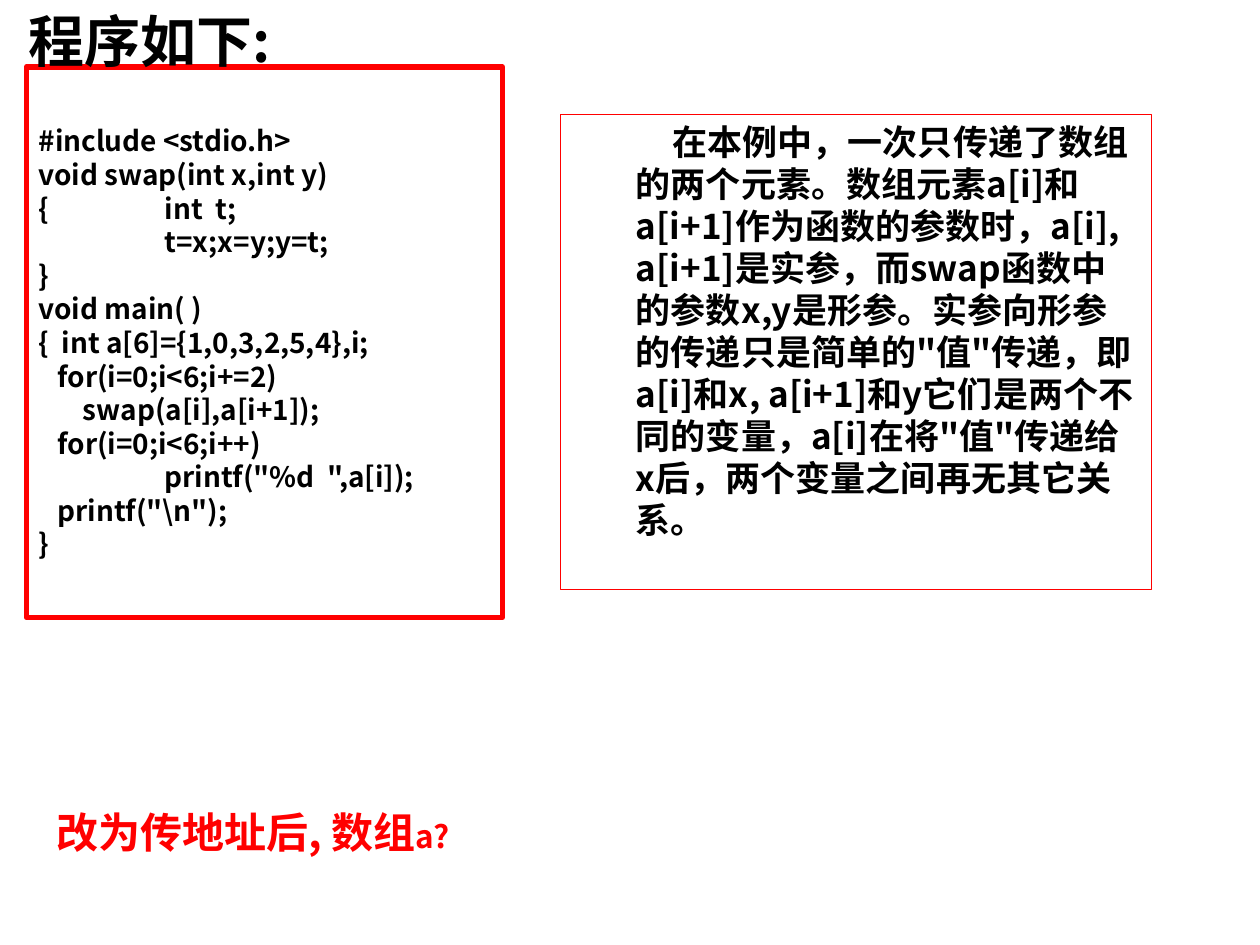
from pptx import Presentation
from pptx.dml.color import RGBColor
from pptx.enum.shapes import MSO_SHAPE
from pptx.enum.text import MSO_ANCHOR, PP_ALIGN
from pptx.oxml.ns import qn
from pptx.util import Cm, Pt
from lxml.etree import SubElement

FONT = "Noto Sans CJK SC"
BLACK, RED = "000000", "FF0000"

CODE = r"""#include <stdio.h>
void swap(int x,int y)
{	int  t;
	t=x;x=y;y=t;
}
void main( )
{  int a[6]={1,0,3,2,5,4},i;
   for(i=0;i<6;i+=2)
       swap(a[i],a[i+1]);
   for(i=0;i<6;i++)
	printf("%d  ",a[i]);
   printf("\n");
}"""

EXPLANATION = (
    "在本例中，一次只传递了数组的两个元素。数组元素a[i]和a[i+1]作为函数的参数时，"
    "a[i], a[i+1]是实参，而swap函数中的参数x,y是形参。"
    "实参向形参的传递只是简单的\"值\"传递，即a[i]和x, a[i+1]和y它们是两个不同的变量，"
    "a[i]在将\"值\"传递给x后，两个变量之间再无其它关系。"
)


def color(hex_code):
    return RGBColor.from_string(hex_code)


def format_span(span, size, hex_code):
    span.font.size = Pt(size)
    span.font.bold = True
    span.font.name = FONT
    span.font.color.rgb = color(hex_code)
    SubElement(span.font._element, qn("a:ea"), typeface=FONT)


def write(frame, text, size, hex_code=BLACK):
    frame.text = text
    for para in frame.paragraphs:
        para.alignment = PP_ALIGN.LEFT
        for span in para.runs:
            format_span(span, size, hex_code)


def add_frame(page, left, top, width, height, line_width):
    """Add an unfilled red rectangle and return its text frame."""
    box = page.shapes.add_shape(
        MSO_SHAPE.RECTANGLE, Cm(left), Cm(top), Cm(width), Cm(height))
    box.shadow.inherit = False
    box.fill.background()
    box.line.color.rgb = color(RED)
    box.line.width = Pt(line_width)
    box.text_frame.word_wrap = True
    return box.text_frame


def add_label(page, left, top, width, height, wrap=True):
    box = page.shapes.add_textbox(Cm(left), Cm(top), Cm(width), Cm(height))
    box.text_frame.word_wrap = wrap
    return box.text_frame


def set_tab_stop(para, position):
    tabs = SubElement(para._p.get_or_add_pPr(), qn("a:tabLst"))
    SubElement(tabs, qn("a:tab"), pos=str(Cm(position)), algn="l")


def add_code(page):
    frame = add_frame(page, 0.53, 1.35, 9.6, 11.1, 3)
    frame.vertical_anchor = MSO_ANCHOR.MIDDLE
    write(frame, CODE, 16)
    for para in frame.paragraphs:
        set_tab_stop(para, 2.54)


def add_explanation(page):
    frame = add_frame(page, 11.3, 2.31, 11.91, 9.58, 0.75)
    frame.vertical_anchor = MSO_ANCHOR.TOP
    write(frame, EXPLANATION, 20)
    para = frame.paragraphs[0]
    para.level = 1
    properties = para._p.get_or_add_pPr()
    properties.set("marL", str(Cm(1.27)))
    properties.set("indent", str(Cm(0.74)))


def add_question(page):
    frame = add_label(page, 0.89, 16.13, 12.4, 1.27)
    write(frame, "改为传地址后, 数组", 24, RED)
    span = frame.paragraphs[0].add_run()
    span.text = "a?"
    format_span(span, 18, RED)


def main():
    deck = Presentation()
    deck.slide_width, deck.slide_height = Cm(25.4), Cm(19.05)
    page = deck.slides.add_slide(deck.slide_layouts[6])
    add_code(page)
    write(add_label(page, 0.33, 0, 5.97, 1.63, wrap=False), "程序如下:", 32)
    add_question(page)
    add_explanation(page)
    deck.save("out.pptx")


if __name__ == "__main__":
    main()
